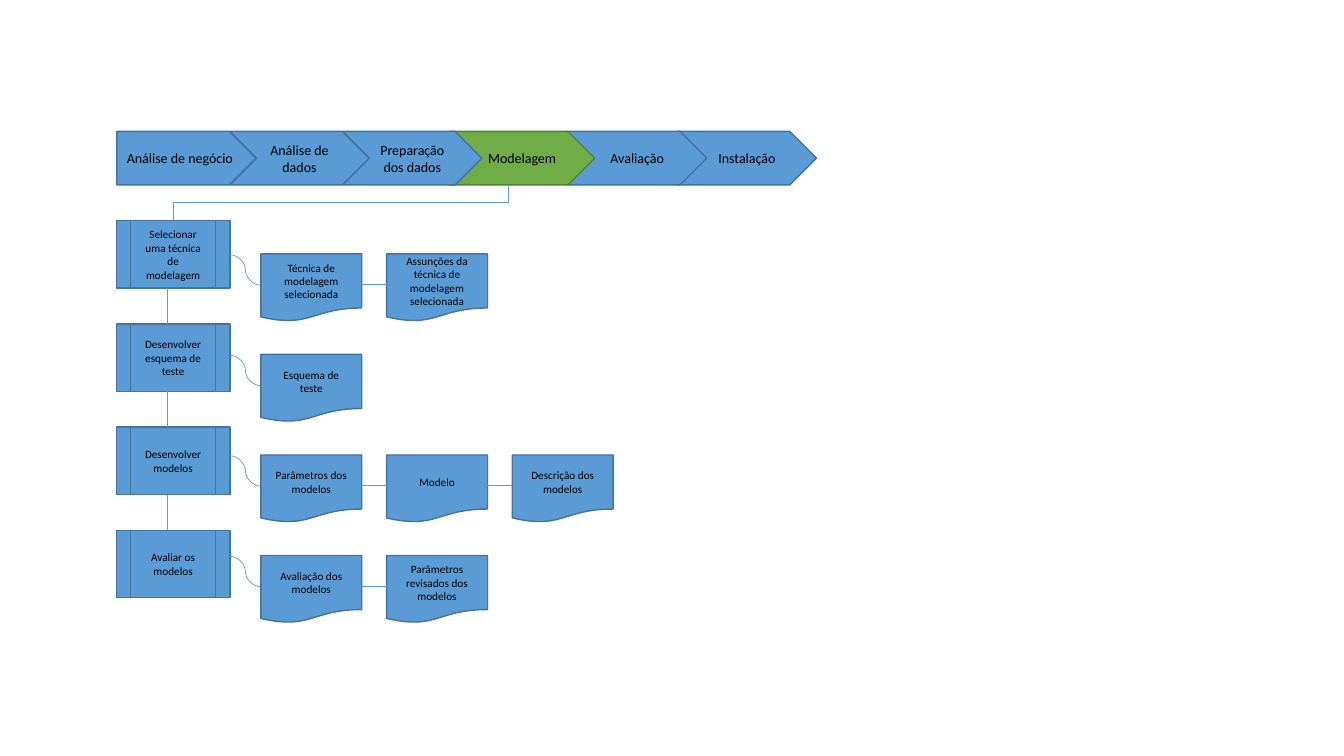
import pptx
import pptx.dml.color
import pptx.enum.shapes
import pptx.oxml.ns
import pptx.util
import lxml.etree
from dataclasses import dataclass

Pt = pptx.util.Pt
PRESET = pptx.enum.shapes.MSO_SHAPE
ROUTE = pptx.enum.shapes.MSO_CONNECTOR


@dataclass(frozen=True)
class Theme:
    font: str = "Calibri"
    text: str = "000000"
    blue: str = "5B9BD5"
    blue_edge: str = "43739E"
    green: str = "70AD47"
    green_edge: str = "538035"
    phase_size: float = 10
    box_size: float = 8
    edge_width: float = 1
    link_width: float = 0.5


THEME = Theme()

# Phases: text, left, width
PHASES = [
    ("Análise de negócio", 83.5, 99.4),
    ("Análise de dados", 164.2, 99.4),
    ("Preparação dos dados", 244.8, 99.4),
    ("Modelagem", 321.1, 103.7),
    ("Avaliação", 405.4, 99.4),
    ("Instalação", 483.8, 99.4),
]
CURRENT_PHASE = "Modelagem"
PHASE_TOP, PHASE_HEIGHT = 93.9, 38.2

# Tasks of the current phase, each with its output documents
TASKS = [
    ("Selecionar uma técnica de modelagem",
     ["Técnica de modelagem selecionada",
      "Assunções da técnica de modelagem selecionada"]),
    ("Desenvolver esquema de teste", ["Esquema de teste"]),
    ("Desenvolver modelos",
     ["Parâmetros dos modelos", "Modelo", "Descrição dos modelos"]),
    ("Avaliar os modelos",
     ["Avaliação dos modelos", "Parâmetros revisados dos modelos"]),
]
TASK_LEFT, TASK_TOP, TASK_WIDTH, TASK_PITCH = 83.2, 157.7, 81, 73.7
TASK_AXIS = 119.5
DOC_LEFT, DOC_TOP, DOC_WIDTH = 186.4, 181.4, 72
DOC_PITCH_X, DOC_PITCH_Y = 89.8, 71.8
BOX_HEIGHT = 48.2
LINK_DROP = 22


def rgb(code):
    return pptx.dml.color.RGBColor.from_string(code)


def add_box(slide, preset, text, left, top, width, height, size,
            fill=THEME.blue, edge=THEME.blue_edge):
    box = slide.shapes.add_shape(preset, Pt(left), Pt(top), Pt(width), Pt(height))
    box.shadow.inherit = False
    box.fill.solid()
    box.fill.fore_color.rgb = rgb(fill)
    box.line.color.rgb = rgb(edge)
    box.line.width = Pt(THEME.edge_width)
    box.text_frame.word_wrap = True
    run = box.text_frame.paragraphs[0].add_run()
    run.text = text
    run.font.name = THEME.font
    run.font.size = Pt(size)
    run.font.color.rgb = rgb(THEME.text)


def add_link(slide, start, end, route=ROUTE.STRAIGHT):
    link = slide.shapes.add_connector(route, *map(Pt, start + end))
    link.line.color.rgb = rgb(THEME.blue)
    link.line.width = Pt(THEME.link_width)
    lxml.etree.SubElement(link.element.spPr, pptx.oxml.ns.qn("a:effectLst"))
    return link


def add_vertical_elbow(slide, start, end):
    """Leave downwards: lay the elbow on its side, then turn it a quarter."""
    mid_x, mid_y = (start[0] + end[0]) / 2, (start[1] + end[1]) / 2
    half_run, half_drop = (start[0] - end[0]) / 2, (end[1] - start[1]) / 2
    elbow = add_link(slide, (mid_x - half_drop, mid_y - half_run),
                     (mid_x + half_drop, mid_y + half_run), ROUTE.ELBOW)
    elbow.element.spPr.find(pptx.oxml.ns.qn("a:xfrm")).set("rot", "5400000")


def add_phase(slide, text, left, width, preset):
    colours = (THEME.green, THEME.green_edge) if text == CURRENT_PHASE else (
        THEME.blue, THEME.blue_edge)
    add_box(slide, preset, text, left, PHASE_TOP, width, PHASE_HEIGHT,
            THEME.phase_size, *colours)


def add_task(slide, row, text):
    top = TASK_TOP + row * TASK_PITCH
    add_box(slide, PRESET.FLOWCHART_PREDEFINED_PROCESS, text, TASK_LEFT, top,
            TASK_WIDTH, BOX_HEIGHT, THEME.box_size)
    if row:
        add_link(slide, (TASK_AXIS, top - TASK_PITCH + BOX_HEIGHT), (TASK_AXIS, top))


def add_documents(slide, row, documents):
    top = DOC_TOP + row * DOC_PITCH_Y
    link_y = top + LINK_DROP
    add_link(slide, (TASK_LEFT + TASK_WIDTH, top + 0.6), (DOC_LEFT, link_y + 0.3),
             ROUTE.CURVE)
    for column, text in enumerate(documents):
        left = DOC_LEFT + column * DOC_PITCH_X
        add_box(slide, PRESET.FLOWCHART_DOCUMENT, text, left, top,
                DOC_WIDTH, BOX_HEIGHT, THEME.box_size)
        if column:
            add_link(slide, (left - DOC_PITCH_X + DOC_WIDTH, link_y), (left, link_y))


def main():
    deck = pptx.Presentation()
    deck.slide_width, deck.slide_height = Pt(960), Pt(540)
    slide = deck.slides.add_slide(deck.slide_layouts[6])

    # Phase band: the first one at the back, the rest stacked from right to left
    add_phase(slide, *PHASES[0], PRESET.PENTAGON)
    for phase in reversed(PHASES[1:]):
        add_phase(slide, *phase, PRESET.CHEVRON)

    # Current phase to its first task
    add_vertical_elbow(slide, (362.9, PHASE_TOP + PHASE_HEIGHT), (123.8, TASK_TOP))

    # Tasks and their documents
    for row, (task, documents) in enumerate(TASKS):
        add_task(slide, row, task)
        add_documents(slide, row, documents)

    deck.save("out.pptx")


main()
